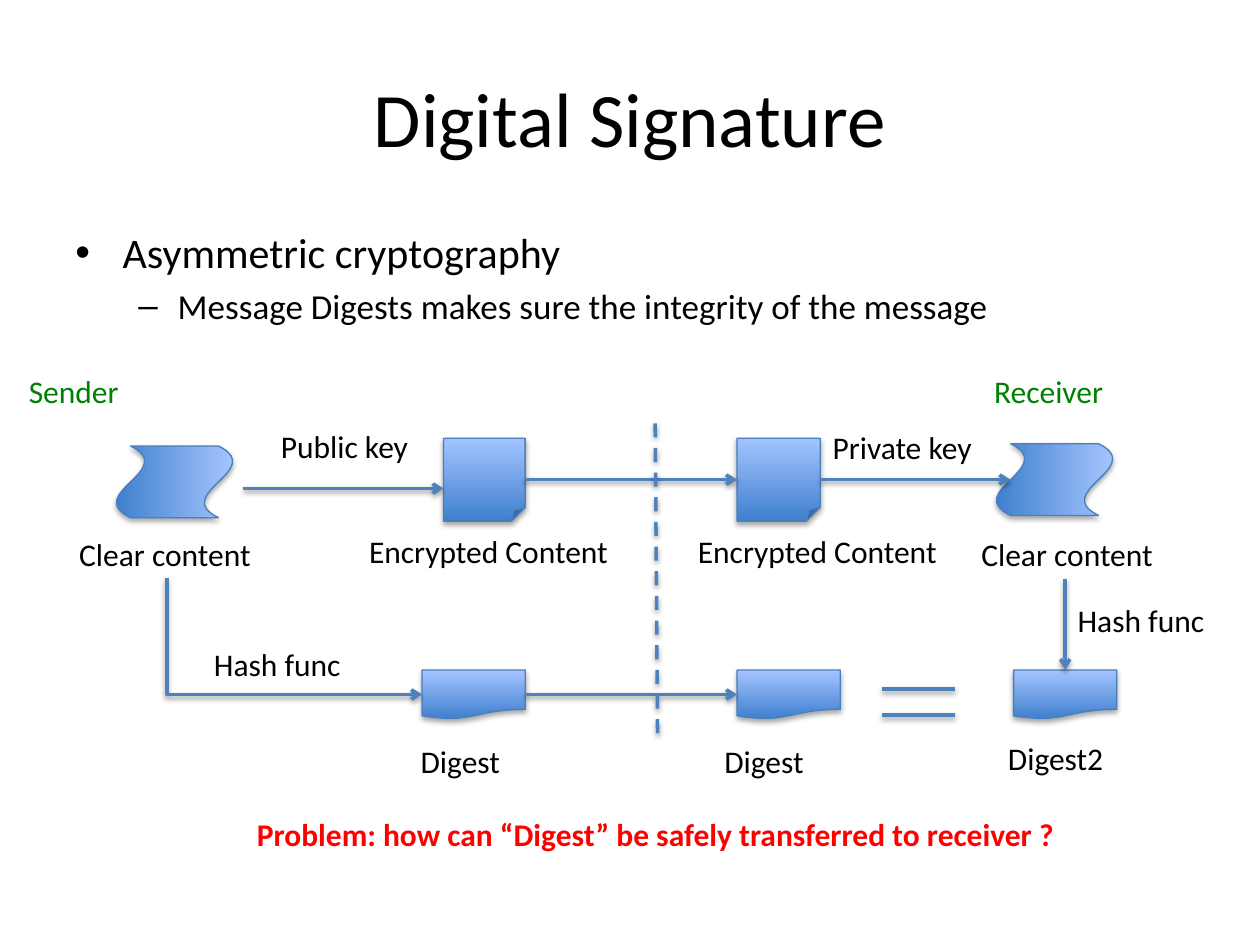
import pptx
import pptx.dml.color
import pptx.enum.dml
import pptx.enum.shapes
import pptx.enum.text
import pptx.oxml
import pptx.oxml.ns
import pptx.util

Pt = pptx.util.Pt
RGBColor = pptx.dml.color.RGBColor
SHAPE = pptx.enum.shapes.MSO_SHAPE
CONNECTOR = pptx.enum.shapes.MSO_CONNECTOR
ANCHOR = pptx.enum.text.MSO_ANCHOR
ALIGN = pptx.enum.text.PP_ALIGN
AUTO_SIZE = pptx.enum.text.MSO_AUTO_SIZE

BLACK = RGBColor(0x00, 0x00, 0x00)
GREEN = RGBColor(0x00, 0x80, 0x00)
RED = RGBColor(0xFF, 0x00, 0x00)
DEEP_BLUE = RGBColor(0x3F, 0x80, 0xCE)
PALE_BLUE = RGBColor(0xA4, 0xC4, 0xFF)
OUTLINE_BLUE = RGBColor(0x4B, 0x7E, 0xBC)
LINE_BLUE = RGBColor(0x4F, 0x81, 0xBD)

TOP, LEFT, BOTTOM, RIGHT = range(4)

# Content: all lengths in points
TITLE = "Digital Signature"
# text, size, left margin, hanging indent, bullet
OUTLINE = [
    ("Asymmetric cryptography", 24, 27, 27, "•"),
    ("Message Digests makes sure the integrity of the message", 20, 58.5, 22.5, "–"),
]
PROBLEM = "Problem: how can “Digest” be safely transferred to receiver ?"

LABEL_HEIGHT = 29
# text, left, top, width, colour
LABELS = [
    ("Sender", 9.4, 209, 114, GREEN),
    ("Receiver", 561, 209, 114, GREEN),
    ("Clear content", 38.2, 301.9, 114, BLACK),
    ("Clear content", 553.7, 302, 114, BLACK),
    ("Encrypted Content", 203.8, 300.5, 153.4, BLACK),
    ("Encrypted Content", 391.7, 300.5, 153.4, BLACK),
    ("Public key", 153.4, 240.2, 100, BLACK),
    ("Private key", 468.7, 241.2, 100, BLACK),
    ("Hash func", 115.2, 365.2, 100, BLACK),
    ("Hash func", 608.7, 340, 100, BLACK),
    ("Digest", 233.3, 420.6, 84.2, BLACK),
    ("Digest", 406.8, 420.6, 84.2, BLACK),
    ("Digest2", 568.9, 418.6, 84.2, BLACK),
]

# name: preset, left, top, width, height, rotation
DIGEST_TOP, DIGEST_W, DIGEST_H = 382.9, 59, 28
PAGE_TOP, PAGE_H = 250.4, 47.4
SYMBOLS = {
    "sender content": (SHAPE.WAVE, 79.2, 241.9, 41, 67, 90),
    "receiver content": (SHAPE.WAVE, 582.1, 240.6, 41, 67, 90),
    "sent page": (SHAPE.FOLDED_CORNER, 253.5, PAGE_TOP, 46.6, PAGE_H, 0),
    "received page": (SHAPE.FOLDED_CORNER, 421.2, PAGE_TOP, 47.5, PAGE_H, 0),
    "sent digest": (SHAPE.FLOWCHART_DOCUMENT, 241.2, DIGEST_TOP, DIGEST_W, DIGEST_H, 0),
    "received digest": (SHAPE.FLOWCHART_DOCUMENT, 421.2, DIGEST_TOP, DIGEST_W, DIGEST_H, 0),
    "digest2": (SHAPE.FLOWCHART_DOCUMENT, 579.2, DIGEST_TOP, DIGEST_W, DIGEST_H, 0),
}

# Each end is a point or a (symbol, side) pair; then dashed, arrowhead
PAGE_MIDDLE = PAGE_TOP + PAGE_H / 2
LINES = [
    ((139, 279.2), (253.5, 279.2), False, True),
    (("sent page", RIGHT), ("received page", LEFT), False, True),
    (("received page", RIGHT), (577.4, PAGE_MIDDLE), False, True),
    (("sent digest", RIGHT), ("received digest", LEFT), False, True),
    ((608.7, 331), ("digest2", TOP), False, True),
    ((374.4, 241.9), (375.8, 424.8), True, False),
    ((504, 393.8), (545.8, 393.8), False, False),  # equals sign
    ((504, 408.7), (545.8, 408.7), False, False),
]
HASH_START, HASH_END = (95.3, 330.5), (241.2, DIGEST_TOP + DIGEST_H / 2)

presentation = pptx.Presentation()
presentation.slide_width, presentation.slide_height = Pt(720), Pt(540)
slide = presentation.slides.add_slide(presentation.slide_layouts[6])


def add_child(parent, tag, **attributes):
    child = pptx.oxml.parse_xml(f"<a:{tag} {pptx.oxml.ns.nsdecls('a')}/>")
    for key, value in attributes.items():
        child.set(key, str(value))
    parent.append(child)
    return child


def add_shadow(effects, blur, distance, opacity):
    shadow = add_child(effects, "outerShdw", blurRad=int(Pt(blur)), dist=int(Pt(distance)),
                       dir=5400000, rotWithShape=0)
    color = add_child(shadow, "srgbClr", val="000000")
    add_child(color, "alpha", val=opacity * 1000)


def add_text_box(left, top, width, height, **frame_format):
    frame = slide.shapes.add_textbox(Pt(left), Pt(top), Pt(width), Pt(height)).text_frame
    for key, value in {"word_wrap": True, **frame_format}.items():
        setattr(frame, key, value)
    return frame


def write(paragraph, text, size=18, color=BLACK, bold=False, align=ALIGN.LEFT):
    paragraph.alignment = align
    run = paragraph.add_run()
    run.text = text
    for key, value in {"name": "Calibri", "size": Pt(size), "bold": bold}.items():
        setattr(run.font, key, value)
    run.font.color.rgb = color


def style_line(connector, dashed=False, arrow=False):
    connector.line.width = Pt(2)
    connector.line.color.rgb = LINE_BLUE
    if dashed:
        connector.line.dash_style = pptx.enum.dml.MSO_LINE.DASH
    if arrow:
        add_child(connector.line._get_or_add_ln(), "tailEnd", type="arrow")
    add_shadow(add_child(connector._element.spPr, "effectLst"), 3.1, 1.6, 38)


# Title and bullet outline
title = add_text_box(36, 21.6, 648, 90, vertical_anchor=ANCHOR.MIDDLE)
write(title.paragraphs[0], TITLE, 44, align=ALIGN.CENTER)

outline = add_text_box(36, 126, 648, 356.4)
for level, (text, size, margin, hanging, bullet) in enumerate(OUTLINE):
    paragraph = outline.add_paragraph() if level else outline.paragraphs[0]
    paragraph.level = level
    paragraph.space_before = Pt(size * 0.2)
    properties = paragraph._p.get_or_add_pPr()
    properties.set("marL", str(int(Pt(margin))))
    properties.set("indent", str(-int(Pt(hanging))))
    add_child(properties, "buFont", typeface="Arial")
    add_child(properties, "buChar", char=bullet)
    write(paragraph, text, size)

# Content, page and digest symbols
symbols = {}
for name, (preset, left, top, width, height, rotation) in SYMBOLS.items():
    symbol = slide.shapes.add_shape(preset, Pt(left), Pt(top), Pt(width), Pt(height))
    symbol.rotation = rotation
    symbol.fill.gradient()
    symbol.fill.gradient_angle = 90
    for stop, color, position in zip(symbol.fill.gradient_stops, (DEEP_BLUE, PALE_BLUE), (0, 1)):
        stop.color.rgb = color
        stop.position = position
    symbol.line.color.rgb = OUTLINE_BLUE
    symbol.line.width = Pt(0.75)
    symbol.shadow.inherit = False
    add_shadow(symbol._element.spPr.find(pptx.oxml.ns.qn("a:effectLst")), 3.1, 1.8, 35)
    symbols[name] = symbol

# Straight lines and arrows
for begin, end, dashed, arrow in LINES:
    points = [(0, 0) if point[0] in symbols else point for point in (begin, end)]
    connector = slide.shapes.add_connector(
        CONNECTOR.STRAIGHT, *(Pt(value) for point in points for value in point))
    for point, connect in ((begin, connector.begin_connect), (end, connector.end_connect)):
        if point[0] in symbols:
            connect(symbols[point[0]], point[1])
    style_line(connector, dashed, arrow)

# Bent hash arrow: goes down, then right, as a turned and flipped one-corner elbow
across, down = (stop - start for start, stop in zip(HASH_START, HASH_END))
elbow_left = HASH_START[0] + (across - down) / 2
elbow_top = HASH_START[1] + (down - across) / 2
hash_arrow = slide.shapes.add_connector(
    CONNECTOR.ELBOW, Pt(elbow_left + down), Pt(elbow_top), Pt(elbow_left), Pt(elbow_top + across))
hash_properties = hash_arrow._element.spPr
hash_properties.find(pptx.oxml.ns.qn("a:xfrm")).set("rot", "16200000")
hash_properties.find(pptx.oxml.ns.qn("a:prstGeom")).set("prst", "bentConnector2")
style_line(hash_arrow, arrow=True)

# Labels and closing question
for text, left, top, width, color in LABELS:
    label = add_text_box(left, top, width, LABEL_HEIGHT, auto_size=AUTO_SIZE.SHAPE_TO_FIT_TEXT)
    write(label.paragraphs[0], text, color=color)

problem = add_text_box(90.7, 462.2, 568, LABEL_HEIGHT, auto_size=AUTO_SIZE.SHAPE_TO_FIT_TEXT)
write(problem.paragraphs[0], PROBLEM, color=RED, bold=True, align=ALIGN.CENTER)

presentation.save("out.pptx")
